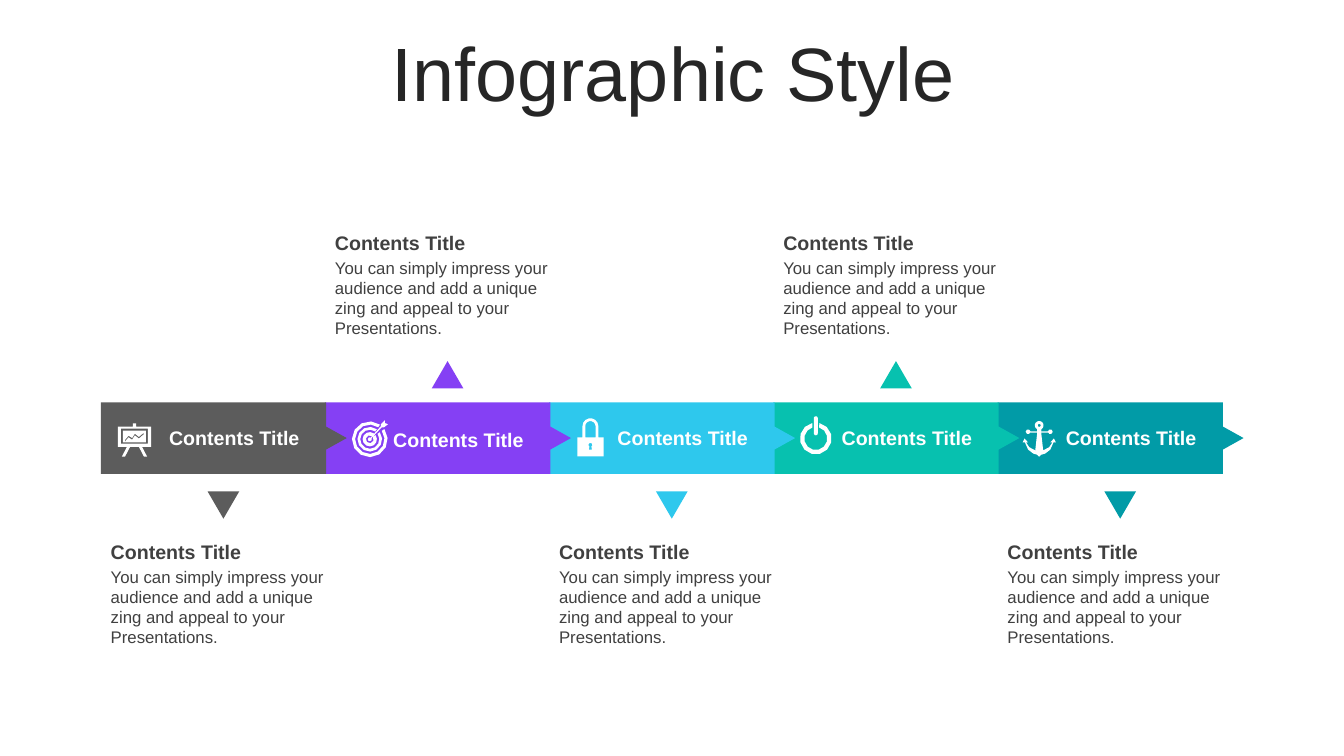
from math import cos, radians, sin

from pptx import Presentation
from pptx.dml.color import RGBColor
from pptx.enum.shapes import MSO_SHAPE as Shape
from pptx.enum.text import MSO_ANCHOR as Anchor, MSO_AUTO_SIZE as AutoSize, PP_ALIGN as Align
from pptx.util import Cm, Pt

COLOURS = {
    "grey": "5C5C5C", "purple": "8540F4", "sky": "2EC8ED", "green": "07C1AF",
    "teal": "019BA7", "white": "FFFFFF", "title": "262626", "text": "404040",
}
STEPS = ["grey", "purple", "sky", "green", "teal"]
HEADING = "Contents Title"
BODY = "You can simply impress your audience and add a unique zing and appeal to your Presentations."
FIRST_LEFT, PITCH = 2.54, 5.65
BAND_MIDDLE = 11.04


def add_text(text, left, top, width, height, size=14, colour="text", bold=False,
             align=Align.LEFT, anchor=Anchor.TOP, spacing=1.0, grow=True):
    box = page.shapes.add_textbox(Cm(left), Cm(top), Cm(width), Cm(height))
    frame = box.text_frame
    frame.word_wrap = True
    frame.auto_size = AutoSize.SHAPE_TO_FIT_TEXT if grow else AutoSize.NONE
    frame.vertical_anchor = anchor
    para = frame.paragraphs[0]
    para.alignment = align
    para.line_spacing = spacing
    span = para.add_run()
    span.text = text
    span.font.name = "Arial"
    span.font.size = Pt(size)
    span.font.bold = bold
    span.font.color.rgb = RGBColor.from_string(COLOURS[colour])


def arc(radius, start=0, stop=360, x=0, y=0):
    """Points along an arc, in degrees clockwise from the top."""
    count = 3 + abs(stop - start) // 40 if radius > 0.12 else 6
    angles = [radians(start + (stop - start) * i / count) for i in range(count + 1)]
    return [(x + radius * sin(a), y - radius * cos(a)) for a in angles]


deck = Presentation()
deck.slide_width, deck.slide_height = Cm(33.87), Cm(19.05)
page = deck.slides.add_slide(deck.slide_layouts[6])

add_text("Infographic Style", 0.89, 0.94, 32.16, 2.01, size=54, colour="title",
         align=Align.CENTER, anchor=Anchor.MIDDLE, spacing=0.9, grow=False)

# Icon outlines, in centimetres from the centre of each icon
trend = [(-0.24, 0), (-0.15, -0.11), (-0.06, -0.05), (0.01, -0.16), (0.11, -0.08), (0.23, -0.18)]
half_easel = [(0.04, -0.42), (0.04, -0.34), (0.42, -0.34), (0.42, 0.17), (0.19, 0.17),
              (0.32, 0.42), (0.24, 0.42), (0.11, 0.17)]
easel = [
    half_easel + [(-x, y) for x, y in reversed(half_easel)],
    [(-0.34, -0.29), (0.34, -0.29), (0.34, 0.09), (-0.34, 0.09)],
    [(-0.29, -0.24), (0.29, -0.24), (0.29, 0.06), (-0.29, 0.06)],
    trend + [(x, y + 0.04) for x, y in reversed(trend)],
]

target = [arc(outer, 55, 395) + arc(inner, 395, 55)
          for outer, inner in [(0.45, 0.37), (0.31, 0.24), (0.18, 0.1)]]
target.append(arc(0.05, 60, 390) + [(0.28, -0.33), (0.28, -0.38), (0.38, -0.48), (0.38, -0.41),
                                    (0.46, -0.38), (0.36, -0.3), (0.3, -0.3)])

lock = [
    [(-0.33, 0), (-0.2, 0)] + arc(0.2, -90, 90, y=-0.28)
    + [(0.2, 0), (0.33, 0), (0.33, 0.48), (-0.33, 0.48)],
    [(-0.13, 0)] + arc(0.13, -90, 90, y=-0.28) + [(0.13, 0)],
    arc(0.05, -150, 150, y=0.19) + [(0.04, 0.31), (-0.04, 0.31)],
]

power = [
    arc(0.4, 13, 347) + arc(0.29, 343, 17),
    arc(0.05, -90, 90, y=-0.51) + arc(0.05, 90, 270, y=-0.13),
]

half_anchor = (
    arc(0.11, 0, 150, y=-0.34) + [(0.05, -0.19), (0.23, -0.19)]
    + arc(0.06, 280, 620, x=0.28, y=-0.18)
    + [(0.23, -0.16), (0.05, -0.16), (0.1, 0.29), (0.25, 0.21), (0.33, 0.09), (0.28, 0.09),
       (0.37, -0.01), (0.42, 0.09), (0.36, 0.09), (0.28, 0.27), (0.15, 0.37), (0.05, 0.4),
       (0, 0.45)]
)
anchor_icon = [half_anchor + [(-x, y) for x, y in reversed(half_anchor)], arc(0.04, y=-0.34)]

arrow = [[(0, -0.9), (5.68, -0.9), (5.68, -0.29), (6.2, 0), (5.68, 0.29), (5.68, 0.9), (0, 0.9)]]

outlines = [(colour, FIRST_LEFT + PITCH * i, BAND_MIDDLE, arrow)
            for i, colour in reversed(list(enumerate(STEPS)))]
outlines += [
    ("white", 3.39, 11.09, easel),
    ("white", 9.32, 11.07, target),
    ("white", 14.88, 11.02, lock),
    ("white", 20.56, 11.05, power),
    ("white", 26.19, 11.06, anchor_icon),
]
for colour, left, top, contours in outlines:
    placed = [[(Cm(left + x), Cm(top + y)) for x, y in contour] for contour in contours]
    builder = page.shapes.build_freeform(*placed[0][0])
    builder.add_line_segments(placed[0][1:], close=True)
    for contour in placed[1:]:
        builder.move_to(*contour[0])
        builder.add_line_segments(contour[1:], close=True)
    outline = builder.convert_to_shape()
    outline.shadow.inherit = False
    outline.fill.solid()
    outline.fill.fore_color.rgb = RGBColor.from_string(COLOURS[colour])
    outline.line.fill.background()

for i, colour in enumerate(STEPS):
    left = FIRST_LEFT + PITCH * i
    above = i % 2 == 1
    add_text(HEADING, left + 1.47, 10.67 if i == 1 else 10.62, 3.84, 0.86,
             colour="white", bold=True)

    pointer = page.shapes.add_shape(Shape.ISOSCELES_TRIANGLE, Cm(left + 2.69),
                                    Cm(9.1 if above else 12.38), Cm(0.8), Cm(0.69))
    pointer.rotation = 0 if above else 180
    pointer.shadow.inherit = False
    pointer.fill.solid()
    pointer.fill.fore_color.rgb = RGBColor.from_string(COLOURS[colour])
    pointer.line.fill.background()

    top = 5.7 if above else 13.48
    add_text(BODY, left, top + 0.67, 6.2, 2.31, size=12)
    add_text(HEADING, left, top, 6.2, 0.86, bold=True)

deck.save("out.pptx")
